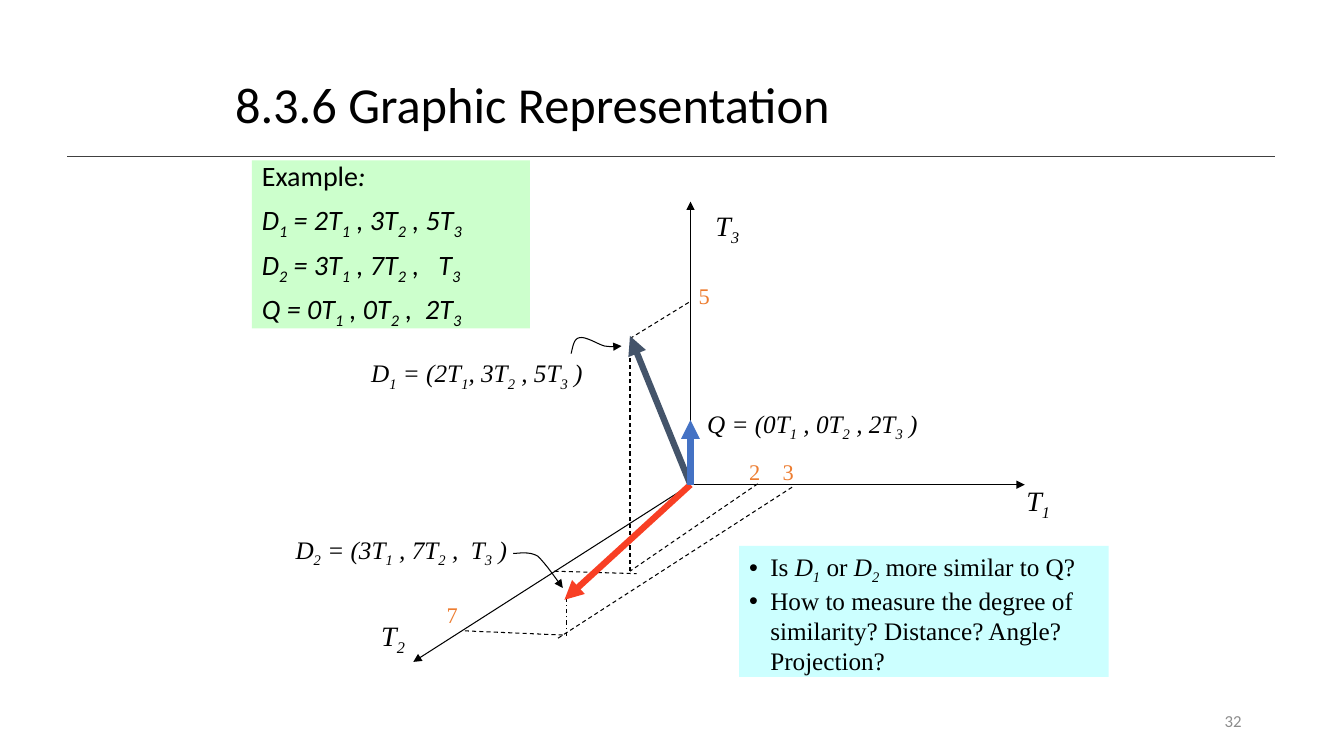
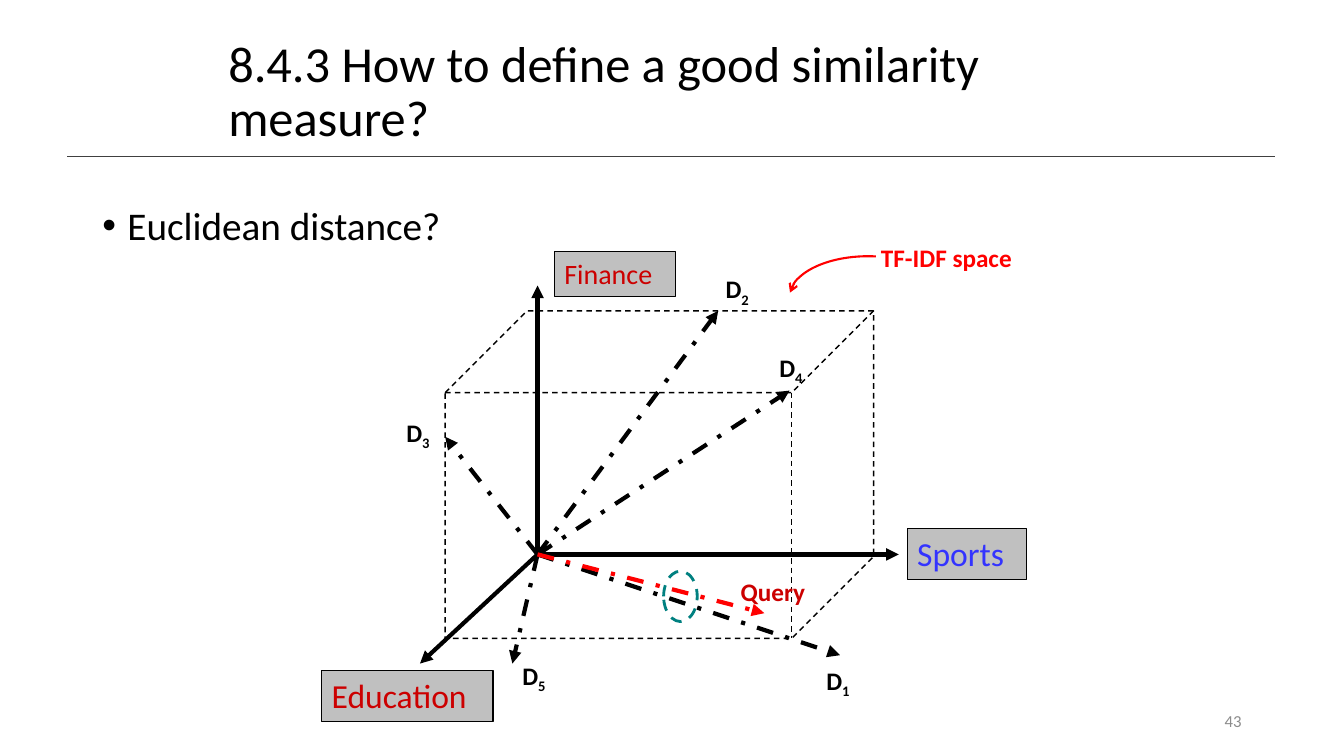
from dataclasses import dataclass

from lxml.etree import SubElement
from pptx import Presentation
from pptx.dml.color import RGBColor
from pptx.enum.dml import MSO_LINE
from pptx.enum.shapes import MSO_CONNECTOR, MSO_SHAPE
from pptx.enum.text import MSO_ANCHOR, PP_ALIGN
from pptx.oxml.ns import qn
from pptx.util import Inches, Pt


@dataclass(frozen=True)
class Theme:
    sans: str = "Calibri"
    serif: str = "Times New Roman"
    ink: str = "000000"
    rule: str = "404040"
    page: str = "8C8C8C"
    example: str = "CCFFCC"
    question: str = "CCFFFF"
    slate: str = "44546A"
    orange: str = "ED7D31"
    vermilion: str = "F83F24"
    blue: str = "4472C4"
    topic: str = "C0C0C0"
    crimson: str = "CC0000"
    indigo: str = "3333FF"
    red: str = "FF0000"
    teal: str = "008080"
    title_size: int = 36
    body_size: int = 28
    topic_size: int = 24
    large_size: int = 20
    label_size: int = 18
    tick_size: int = 16
    page_size: int = 12
    thin: float = 0.75
    thick: float = 3
    heavy: float = 4.5


THEME = Theme()
COLUMNS, ROWS = 160, 90
CELL = Inches(1) // 12
DASH, DASH_DOT = MSO_LINE.DASH, MSO_LINE.DASH_DOT

RULE = ((8, 18.6), (151.8, 18.6))
PAGE_BOX = (113, 83.4, 36, 4.8)

GRAPHIC = {"title": "8.3.6 Graphic Representation", "title_box": (26.8, 7.5, 103.4, 10.4), "page": "32"}
EXAMPLE_BOX = (30, 19.1, 33.1, 20)
EXAMPLE = [
    "Example*:*",
    "*D_1 = 2T_1 , 3T_2 , 5T_3*",
    "*D_2 = 3T_1 , 7T_2 ,   T_3*",
    "*Q = 0T_1 , 0T_2 ,  2T_3*",
]
QUESTION_BOX = (88, 65, 44, 15.6)
QUESTIONS = [
    "Is *D_1* or *D_2* more similar to Q?",
    "How to measure the degree of similarity? Distance? Angle? Projection?",
]
TERM_ORIGIN = (82.2, 57.7)
TERM_AXES = [(122, 57.7), (49.2, 78.8), (82.2, 24)]
PROJECTIONS = [
    ((90.2, 57.6), (75, 68), DASH),
    ((66, 68), (75.8, 68.3), DASH),
    ((75, 68), (75, 42), DASH),
    ((94.3, 58), (66.4, 76), DASH),
    ((67, 75.6), (55.3, 75.1), DASH),
    ((67.4, 75.7), (67.4, 71), DASH_DOT),
    ((82, 36), (75, 40.3), DASH),
]
TERM_VECTORS = [
    ((75, 40), THEME.slate),
    ((67.2, 71.4), THEME.vermilion),
    ((82.2, 50), THEME.blue),
]
AXIS_NAMES = [("*T_3*", 84, 24.2), ("*T_1*", 121, 57), ("*T_2*", 44.2, 73)]
FORMULAS = [
    ("*D_1 = (2T_1, 3T_2 , 5T_3 )*", 43, 42),
    ("*D_2 = (3T_1 , 7T_2 ,  T_3 )*", 34, 63),
    ("*Q = (0T_1 , 0T_2 , 2T_3 )*", 83, 48),
]
TICKS = [("7", 52, 71), ("3", 92, 54), ("2", 88, 54), ("5", 82, 33)]
POINTERS = [
    [(68, 42.1), (68.2, 41.3), (68.3, 40.3), (69, 40.2), (69.7, 40), (71.2, 41),
     (72, 41.2), (72.8, 41.3), (73.4, 41.3), (74, 41.2)],
    [(61.1, 65.9), (61.6, 65.9), (63, 65.6), (64, 66.2), (64.9, 67), (66.4, 69.2), (67, 70)],
]

SIMILARITY = {
    "title": "8.4.3 How to define a good similarity measure?",
    "title_box": (26, 3.6, 108, 15),
    "page": "43",
}
MEASURE_BOX = (11, 24, 138, 57)
MEASURE = ["Euclidean distance?"]
SPACE_ORIGIN = (64, 66)
SPACE_BOX = (53, 37, 51, 39)
SPACE_AXES = [(50, 79), (107, 66), (64, 34)]
TOPICS = [
    ("Sports", (108, 62.9, 14.2, 6.1), THEME.indigo, THEME.topic_size),
    ("Education", (38.3, 79.8, 20.4, 6.1), THEME.crimson, THEME.topic_size),
    ("Finance", (66, 30, 14.4, 5.3), THEME.crimson, THEME.large_size),
]
DOCUMENTS = [
    ("D_4", (94, 46.5), (91.6, 41.3)),
    ("D_5", (61, 79), (61, 78)),
    ("D_2", (85.5, 37), (85.2, 32)),
    ("D_1", (100, 78), (97.2, 78.6)),
    ("D_3", (53, 52), (47.2, 49.1)),
]
QUERY_TIP = (91, 73)
QUERY_BOX = (87, 68, 11.2, 4.8)
ANGLE_BOX = (79, 68, 4, 6)
SPACE_NAME_BOX = (103.7, 28.2, 26, 4.8)
SPACE_ARC_BOX = (94, 30.5, 18.7, 9.7)
ARC_ANGLES = (109.91, 168.48)


def cells(*lengths):
    return [round(length * CELL) for length in lengths]


def rgb(color):
    return RGBColor.from_string(color)


def style_line(line, color, width, dash=None, head=None, tail=None):
    line.color.rgb = rgb(color)
    line.width = Pt(width)
    if dash:
        line.dash_style = dash
    outline = line._get_or_add_ln()
    for tag, arrow in (("a:headEnd", head), ("a:tailEnd", tail)):
        if arrow:
            SubElement(outline, qn(tag), type=arrow)


def add_line(slide, start, end, color=THEME.ink, width=THEME.thin, **style):
    connector = slide.shapes.add_connector(MSO_CONNECTOR.STRAIGHT, *cells(*start, *end))
    style_line(connector.line, color, width, **style)
    SubElement(connector._element.spPr, qn("a:effectLst"))


def add_outline(slide, preset, box, color, width, **style):
    shape = slide.shapes.add_shape(preset, *cells(*box))
    shape.shadow.inherit = False
    shape.fill.background()
    style_line(shape.line, color, width, **style)
    return shape


def bezier_points(controls, steps=8):
    for first in range(0, len(controls) - 1, 3):
        for step in range(1, steps + 1):
            t = step / steps
            weights = ((1 - t) ** 3, 3 * t * (1 - t) ** 2, 3 * t * t * (1 - t), t ** 3)
            piece = controls[first:first + 4]
            yield cells(*(sum(w * p[axis] for w, p in zip(weights, piece)) for axis in (0, 1)))


def add_pointer(slide, controls):
    builder = slide.shapes.build_freeform(*cells(*controls[0]))
    builder.add_line_segments(list(bezier_points(controls)), close=False)
    curve = builder.convert_to_shape()
    curve.shadow.inherit = False
    curve.fill.background()
    style_line(curve.line, THEME.ink, THEME.thin, tail="triangle")


def write_runs(paragraph, marked, size, font, color, bold):
    for turn, phrase in enumerate(marked.split("*")):
        for part, piece in enumerate(phrase.split("_")):
            split = 1 if part else 0
            for words, lowered in ((piece[:split], True), (piece[split:], False)):
                if not words:
                    continue
                run = paragraph.add_run()
                run.text = words
                run.font.size = Pt(size)
                run.font.name = font
                run.font.bold = bold
                run.font.italic = turn % 2 == 1
                run.font.color.rgb = rgb(color)
                if lowered:
                    run.font._element.set("baseline", "-25000")


def add_text(slide, box, paragraphs, size=THEME.label_size, font=THEME.sans, color=THEME.ink,
             bold=False, fill=None, border=None, anchor=MSO_ANCHOR.TOP, align=PP_ALIGN.LEFT,
             leading=None, before=0, indent=0, bullet=False):
    holder = slide.shapes.add_textbox(*cells(*box))
    if fill:
        holder.fill.solid()
        holder.fill.fore_color.rgb = rgb(fill)
    if border:
        style_line(holder.line, border, THEME.thin)
    frame = holder.text_frame
    frame.word_wrap = True
    frame.vertical_anchor = anchor
    for index, marked in enumerate(paragraphs):
        paragraph = frame.add_paragraph() if index else frame.paragraphs[0]
        paragraph.alignment = align
        paragraph.space_before = Pt(before)
        if leading:
            paragraph.line_spacing = leading
        properties = paragraph._p.get_or_add_pPr()
        if indent:
            properties.set("marL", str(Inches(indent)))
            properties.set("indent", str(-Inches(indent)))
        if bullet:
            SubElement(properties, qn("a:buFont"), typeface="Arial")
            SubElement(properties, qn("a:buChar"), char="•")
        write_runs(paragraph, marked, size, font, color, bold)


def start_slide(deck, content):
    slide = deck.slides.add_slide(deck.slide_layouts[6])
    add_line(slide, *RULE, color=THEME.rule, width=1)
    add_text(slide, content["title_box"], [content["title"]], size=THEME.title_size,
             anchor=MSO_ANCHOR.MIDDLE, leading=0.9)
    add_text(slide, PAGE_BOX, [content["page"]], size=THEME.page_size, color=THEME.page,
             anchor=MSO_ANCHOR.MIDDLE, align=PP_ALIGN.RIGHT)
    return slide


def build_graphic(deck):
    slide = start_slide(deck, GRAPHIC)
    add_text(slide, EXAMPLE_BOX, EXAMPLE, size=THEME.large_size, fill=THEME.example,
             leading=0.8, before=10, indent=0.25)
    for tip in TERM_AXES:
        add_line(slide, TERM_ORIGIN, tip, tail="triangle")
    for start, end, dash in PROJECTIONS:
        add_line(slide, start, end, dash=dash)
    for tip, color in TERM_VECTORS:
        add_line(slide, TERM_ORIGIN, tip, color, THEME.heavy, tail="triangle")
    for controls in POINTERS:
        add_pointer(slide, controls)
    label_groups = [
        (AXIS_NAMES, (7, 5.3), THEME.large_size, THEME.ink),
        (FORMULAS, (29.4, 4.8), THEME.label_size, THEME.ink),
        (TICKS, (4, 4.4), THEME.tick_size, THEME.orange),
    ]
    for labels, extent, size, color in label_groups:
        for label, left, top in labels:
            add_text(slide, (left, top, *extent), [label], size=size, font=THEME.serif, color=color)
    add_text(slide, QUESTION_BOX, QUESTIONS, font=THEME.serif, fill=THEME.question,
             indent=0.21, bullet=True)


def build_similarity(deck):
    slide = start_slide(deck, SIMILARITY)
    add_text(slide, MEASURE_BOX, MEASURE, size=THEME.body_size, leading=0.9, before=10,
             indent=0.25, bullet=True)
    space = add_outline(slide, MSO_SHAPE.CUBE, SPACE_BOX, THEME.ink, 1, dash=DASH)
    space.adjustments[0] = 0.25
    for tip in SPACE_AXES:
        add_line(slide, SPACE_ORIGIN, tip, width=THEME.thick, tail="triangle")
    for topic, box, color, size in TOPICS:
        add_text(slide, box, [topic], size=size, color=color, fill=THEME.topic, border=THEME.ink)
    for name, tip, corner in DOCUMENTS:
        add_line(slide, SPACE_ORIGIN, tip, width=THEME.thick, dash=DASH_DOT, tail="triangle")
        add_text(slide, (*corner, 5.8, 6.1), [name], bold=True)
    add_line(slide, SPACE_ORIGIN, QUERY_TIP, THEME.red, THEME.thick, dash=DASH_DOT, tail="triangle")
    add_text(slide, QUERY_BOX, ["Query"], color=THEME.crimson, bold=True)
    add_outline(slide, MSO_SHAPE.OVAL, ANGLE_BOX, THEME.teal, 2, dash=DASH)
    add_text(slide, SPACE_NAME_BOX, ["TF-IDF space"], color=THEME.red, bold=True)
    arc = add_outline(slide, MSO_SHAPE.ARC, SPACE_ARC_BOX, THEME.red, 1.5, head="arrow")
    for index, angle in enumerate(ARC_ANGLES):
        arc.adjustments[index] = angle


def main():
    deck = Presentation()
    deck.slide_width, deck.slide_height = COLUMNS * CELL, ROWS * CELL
    build_graphic(deck)
    build_similarity(deck)
    deck.save("out.pptx")


if __name__ == "__main__":
    main()
